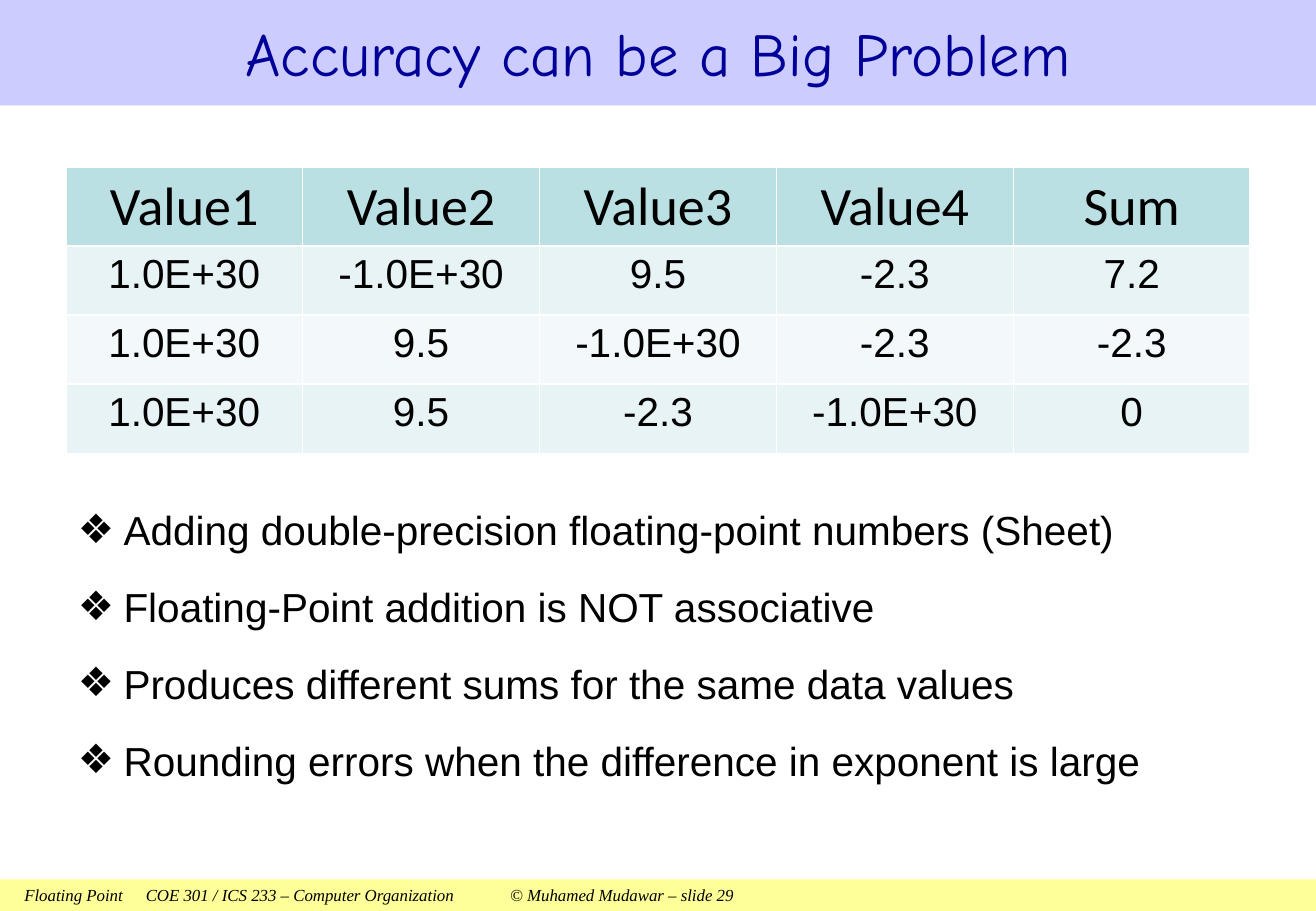
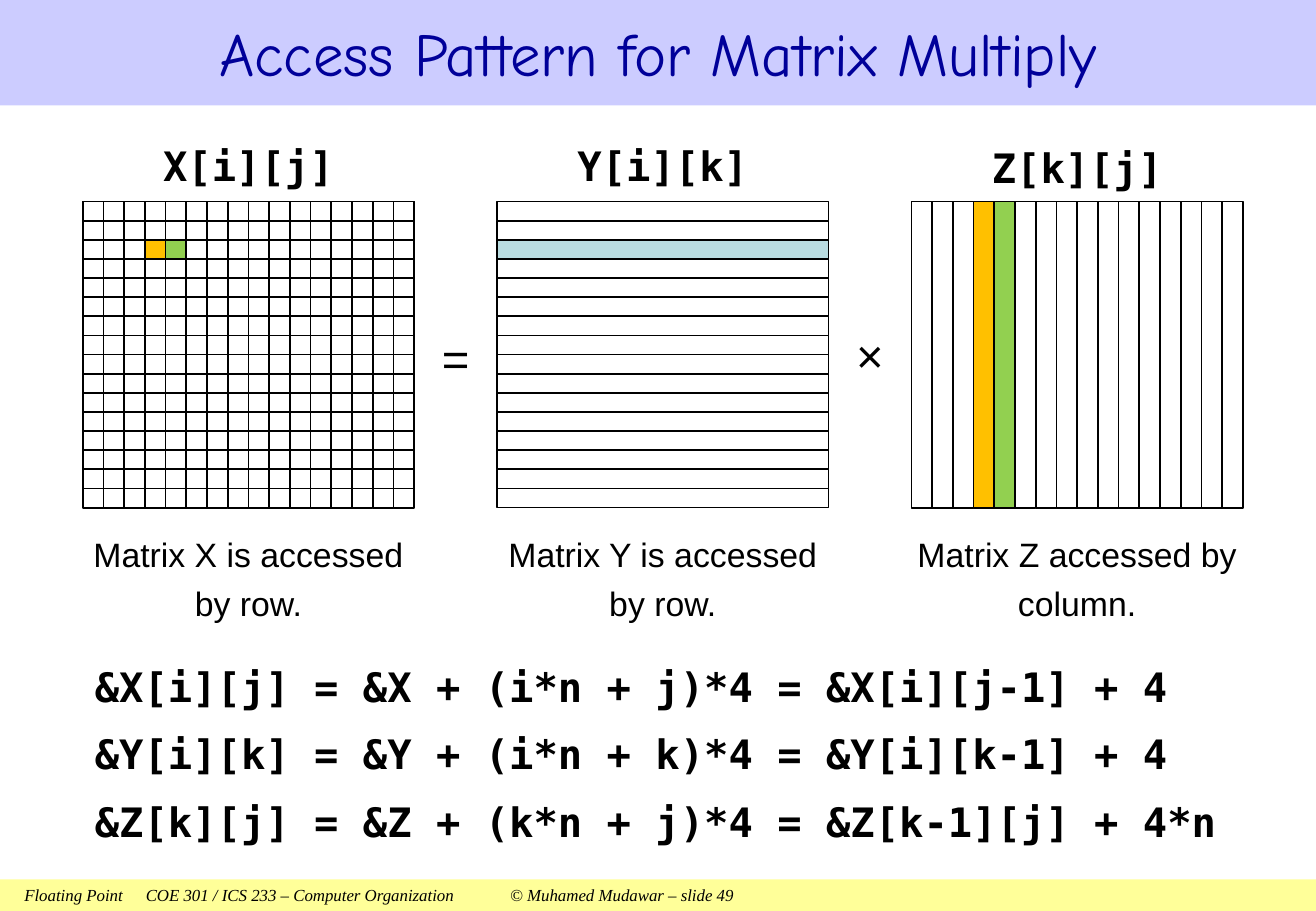
"""Build two lecture slides on floating-point accuracy and matrix access."""
from dataclasses import dataclass
from typing import Optional

from lxml import etree
from pptx import Presentation
from pptx.dml.color import RGBColor
from pptx.enum import shapes, text
from pptx.oxml import ns
from pptx.util import Pt

BLACK = RGBColor(0x00, 0x00, 0x00)
WHITE = RGBColor(0xFF, 0xFF, 0xFF)
NAVY = RGBColor(0x00, 0x00, 0x99)
LILAC = RGBColor(0xCC, 0xCC, 0xFF)
CREAM = RGBColor(0xFF, 0xFF, 0x99)
TEAL = RGBColor(0xBB, 0xE0, 0xE3)
PALE = RGBColor(0xE7, 0xF3, 0xF4)
MIST = RGBColor(0xF3, 0xF9, 0xFA)
AQUA = RGBColor(0xBA, 0xDD, 0xE1)
AMBER = RGBColor(0xFF, 0xC0, 0x00)
GREEN = RGBColor(0x92, 0xD0, 0x50)

WIDE, HIGH = 780, 540
COUNT = 16
CELL_W, CELL_H = 12.28, 11.34
SIDE_W, SIDE_H = COUNT * CELL_W, COUNT * CELL_H
GAP = 4 * CELL_W
GRID_X, GRID_Y = 49, 119.5


@dataclass(frozen=True)
class Box:
    x: float
    y: float
    w: float
    h: float

    def place(self) -> tuple:
        return Pt(self.x), Pt(self.y), Pt(self.w), Pt(self.h)


@dataclass(frozen=True)
class Face:
    name: str
    size: float
    color: RGBColor = BLACK
    bold: bool = False
    slant: bool = False


@dataclass(frozen=True)
class Matrix:
    label: str
    label_y: float
    note: str
    rows: Optional[dict]
    cols: Optional[dict]
    fill: Optional[RGBColor] = WHITE
    sign: str = ""
    sign_y: float = 0


TITLE = Face("Comic Neue", 36, NAVY)
FOOT = Face("Times New Roman", 10, slant=True)
HEAD = Face("Calibri", 32)
BODY = Face("Arial", 24)
NOTE = Face("Arial", 20)
SIGN = Face("Arial", 28)
CODE = Face("DejaVu Sans Mono", 24, bold=True)

SUMS = [
    ["Value1", "Value2", "Value3", "Value4", "Sum"],
    ["1.0E+30", "-1.0E+30", "9.5", "-2.3", "7.2"],
    ["1.0E+30", "9.5", "-1.0E+30", "-2.3", "-2.3"],
    ["1.0E+30", "9.5", "-2.3", "-1.0E+30", "0"],
]
POINTS = [
    "Adding double-precision floating-point numbers (Sheet)",
    "Floating-Point addition is NOT associative",
    "Produces different sums for the same data values",
    "Rounding errors when the difference in exponent is large",
]
CODES = [
    "&X[i][j] = &X + (i*n + j)*4 = &X[i][j-1] + 4",
    "&Y[i][k] = &Y + (i*n + k)*4 = &Y[i][k-1] + 4",
    "&Z[k][j] = &Z + (k*n + j)*4 = &Z[k-1][j] + 4*n",
]
GRIDS = [
    Matrix("X[i][j]", 77, "Matrix X is accessed by row.", {}, {}, None, "=", 190.8),
    Matrix("Y[i][k]", 77, "Matrix Y is accessed by row.", {2: AQUA}, None, sign="×", sign_y=188.6),
    Matrix("Z[k][j]", 78, "Matrix Z accessed by column.", None, {3: AMBER, 4: GREEN}),
]


def style(para, face: Face, align=text.PP_ALIGN.CENTER) -> None:
    """Set font and alignment of a paragraph."""
    font = para.font
    font.name, font.size = face.name, Pt(face.size)
    font.bold, font.italic = face.bold, face.slant
    font.color.rgb = face.color
    para.alignment = align


def rect(slide, box: Box, fill: Optional[RGBColor], edge: bool = True):
    """Draw a flat rectangle."""
    shape = slide.shapes.add_shape(shapes.MSO_SHAPE.RECTANGLE, *box.place())
    shape.shadow.inherit = False
    if fill is None:
        shape.fill.background()
    else:
        shape.fill.solid()
        shape.fill.fore_color.rgb = fill
    if edge:
        shape.line.color.rgb = BLACK
        shape.line.width = Pt(1)
    else:
        shape.line.fill.background()
    return shape


def label(slide, box: Box, words: str, face: Face, wrap: bool = False) -> None:
    """Add centred text without margins."""
    frame = slide.shapes.add_textbox(*box.place()).text_frame
    frame.margin_left = frame.margin_right = frame.margin_top = frame.margin_bottom = 0
    frame.word_wrap = wrap
    frame.vertical_anchor = text.MSO_ANCHOR.MIDDLE
    para = frame.paragraphs[0]
    para.text = words
    para.line_spacing = 1.2
    style(para, face)


def body(slide, box: Box, lines: list, face: Face, mark: str = "") -> None:
    """Fill the body placeholder with lines, bulleted if a mark is given."""
    holder = slide.placeholders[1]
    holder.left, holder.top, holder.width, holder.height = box.place()
    frame = holder.text_frame
    frame.auto_size = text.MSO_AUTO_SIZE.NONE
    frame.text = "\n".join(lines)
    for para in frame.paragraphs:
        style(para, face, text.PP_ALIGN.LEFT)
        para.space_before = Pt(11)
        para.line_spacing = 1.2 if mark else 1.0
        props = para._p.get_or_add_pPr()
        dent = Pt(27) if mark else 0
        props.set("marL", str(dent))
        props.set("indent", str(-dent))
        bullet = etree.Element(ns.qn("a:buChar" if mark else "a:buNone"))
        if mark:
            bullet.set("char", mark)
        props.find(ns.qn("a:spcBef")).addnext(bullet)


def start(deck, title: str, number: int):
    """Add a slide with its title band and footer band."""
    slide = deck.slides.add_slide(deck.slide_layouts[1])
    head = slide.shapes.title
    head.left, head.top, head.width, head.height = Box(0, 0, WIDE, 62.5).place()
    head.fill.solid()
    head.fill.fore_color.rgb = LILAC
    frame = head.text_frame
    frame.auto_size = text.MSO_AUTO_SIZE.NONE
    frame.vertical_anchor = text.MSO_ANCHOR.MIDDLE
    frame.text = title
    style(frame.paragraphs[0], TITLE)
    foot = rect(slide, Box(0, 521.2, WIDE, 18.8), CREAM, edge=False).text_frame
    foot.margin_left = Pt(14.4)
    foot.margin_top = foot.margin_bottom = 0
    foot.text = ("Floating Point\tCOE 301 / ICS 233 – Computer Organization"
                 f"\t© Muhamed Mudawar – slide {number}")
    style(foot.paragraphs[0], FOOT, text.PP_ALIGN.LEFT)
    return slide


def table(slide, box: Box, data: list, heights: list) -> None:
    """Add a table with a header row and alternating row fills."""
    grid = slide.shapes.add_table(len(data), len(data[0]), *box.place()).table
    for r, (row, height) in enumerate(zip(data, heights)):
        grid.rows[r].height = Pt(height)
        for c, words in enumerate(row):
            cell = grid.cell(r, c)
            cell.fill.solid()
            cell.fill.fore_color.rgb = TEAL if r == 0 else (MIST, PALE)[r % 2]
            cell.text = words
            style(cell.text_frame.paragraphs[0], BODY if r else HEAD)


def matrix(slide, x: float, grid: Matrix) -> None:
    """Draw a matrix as row and column strips with label, note and sign."""
    if grid.rows is not None:
        for i in range(COUNT):
            rect(slide, Box(x, GRID_Y + i * CELL_H, SIDE_W, CELL_H), grid.rows.get(i, grid.fill))
    if grid.cols is not None:
        for i in range(COUNT):
            rect(slide, Box(x + i * CELL_W, GRID_Y, CELL_W, SIDE_H), grid.cols.get(i, grid.fill))
    label(slide, Box(x, grid.label_y, SIDE_W, 36), grid.label, CODE)
    label(slide, Box(x, 307, SIDE_W, 67), grid.note, NOTE, wrap=True)
    if grid.sign:
        label(slide, Box(x + SIDE_W, grid.sign_y, GAP, 36), grid.sign, SIGN)


def main() -> None:
    """Build and save the slides."""
    deck = Presentation()
    deck.slide_width, deck.slide_height = Pt(WIDE), Pt(HIGH)

    slide = start(deck, "Accuracy can be a Big Problem", 29)
    table(slide, Box(39, 99.4, 702, 168.4), SUMS, [45.4, 41, 41, 41])
    body(slide, Box(39, 290, 702, 205), POINTS, BODY, "❖")

    slide = start(deck, "Access Pattern for Matrix Multiply", 49)
    for i, grid in enumerate(GRIDS):
        matrix(slide, GRID_X + i * (SIDE_W + GAP), grid)
    for col, fill in ((3, AMBER), (4, GREEN)):
        rect(slide, Box(GRID_X + col * CELL_W, GRID_Y + 2 * CELL_H, CELL_W, CELL_H), fill)
    body(slide, Box(49, 389, 688, 121.7), CODES, CODE)

    deck.save("out.pptx")


main()
